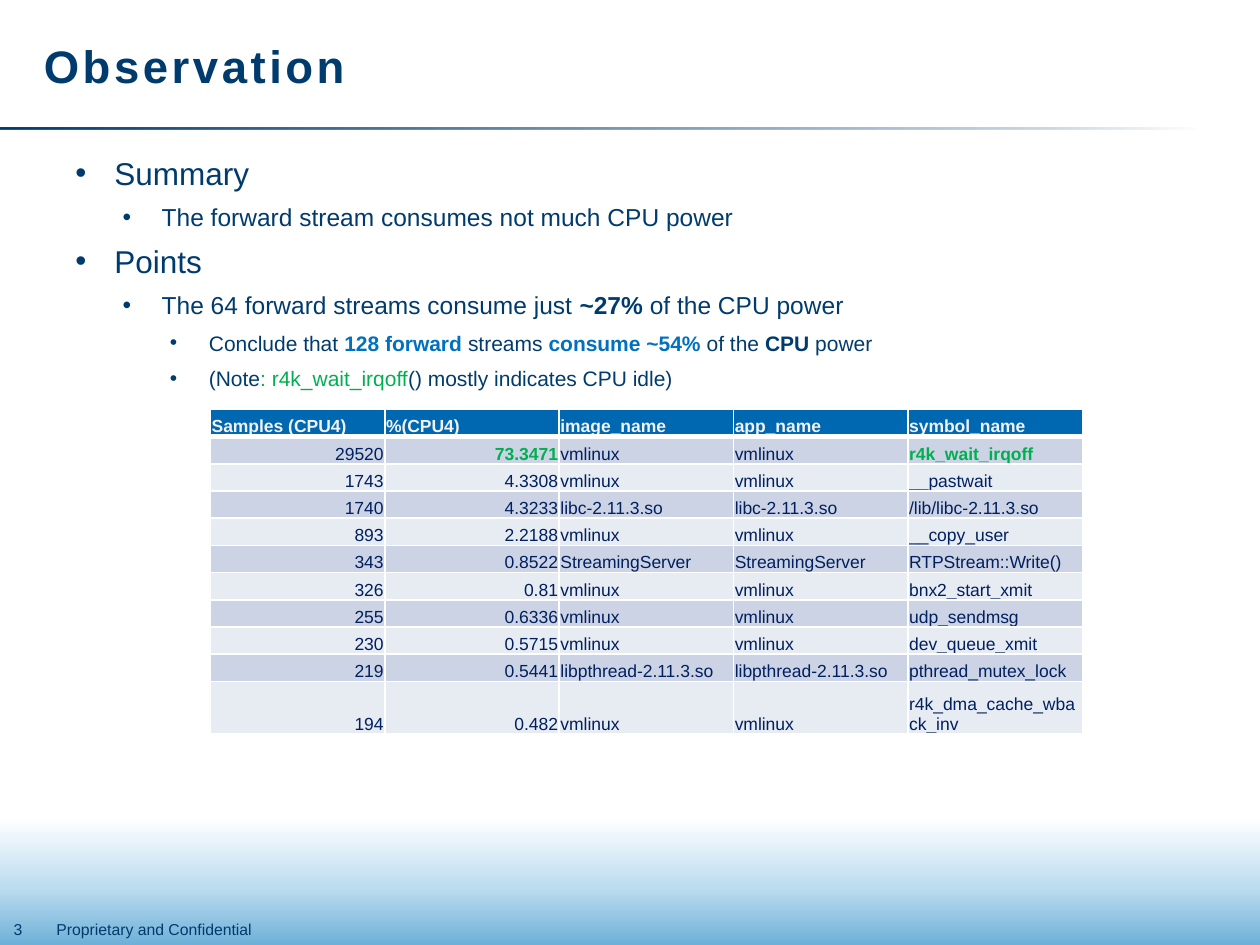
from lxml import etree
from pptx import Presentation
from pptx.dml.color import RGBColor
from pptx.enum.shapes import MSO_SHAPE as Shape
from pptx.enum.text import MSO_ANCHOR as Anchor, PP_ALIGN as Align
from pptx.oxml import parse_xml
from pptx.oxml.ns import nsdecls, qn
from pptx.util import Inches, Pt

THEME = {
    "font": "Arial",
    "color": {"navy": "003B6E", "blue": "0070C0", "green": "00B050", "white": "FFFFFF",
              "head_fill": "0067B1", "head_text": "F2F2F2", "cell_text": "002060",
              "odd": "CCD3E4", "even": "E7EBF2", "sky": "6EB0D8", "pale": "BCDCEF"},
    "size": {"title": 26, "levels": (18, 14, 12), "table": 10, "footer": 9},
}
COLOR, SIZE = THEME["color"], THEME["size"]

TITLE = "Observation"
FOOTER = "Proprietary and Confidential"
PAGE = "3"
BULLETS = [
    (0, [("Summary",)]),
    (1, [("The forward stream consumes not much CPU power",)]),
    (0, [("Points",)]),
    (1, [("The 64 forward streams consume just ",), ("~27% ", "navy", True),
         ("of the CPU power",)]),
    (2, [("Conclude that ",), ("128 forward ", "blue", True), ("streams ",),
         ("consume ~54% ", "blue", True), ("of the ",), ("CPU", "navy", True), (" power",)]),
    (2, [("(Note",), (": r4k_wait_irqoff", "green"), ("() mostly indicates CPU idle)",)]),
]
HEADERS = ["Samples (CPU4)", "%(CPU4)", "image_name", "app_name", "symbol_name"]
SAMPLES = [
    ("29520", "73.3471", "vmlinux", "vmlinux", "r4k_wait_irqoff"),
    ("1743", "4.3308", "vmlinux", "vmlinux", "__pastwait"),
    ("1740", "4.3233", "libc-2.11.3.so", "libc-2.11.3.so", "/lib/libc-2.11.3.so"),
    ("893", "2.2188", "vmlinux", "vmlinux", "__copy_user"),
    ("343", "0.8522", "StreamingServer", "StreamingServer", "RTPStream::Write()"),
    ("326", "0.81", "vmlinux", "vmlinux", "bnx2_start_xmit"),
    ("255", "0.6336", "vmlinux", "vmlinux", "udp_sendmsg"),
    ("230", "0.5715", "vmlinux", "vmlinux", "dev_queue_xmit"),
    ("219", "0.5441", "libpthread-2.11.3.so", "libpthread-2.11.3.so", "pthread_mutex_lock"),
    ("194", "0.482", "vmlinux", "vmlinux", "r4k_dma_cache_wback_inv"),
]
HIGHLIGHTS = {"73.3471", "r4k_wait_irqoff"}
NUMERIC_COLUMNS = 2


def add_run(paragraph, text, size, color="navy", bold=False):
    run = paragraph.add_run()
    run.text = text
    run.font.name = THEME["font"]
    run.font.size = Pt(size)
    run.font.bold = bold
    run.font.color.rgb = RGBColor.from_string(COLOR[color])
    return run


def add_text_box(slide, box, wrap=True):
    frame = slide.shapes.add_textbox(*map(Inches, box)).text_frame
    frame.word_wrap = wrap
    return frame


def add_gradient_bar(slide, box, stops, angle):
    shape = slide.shapes.add_shape(Shape.RECTANGLE, *map(Inches, box))
    shape.shadow.inherit = False
    shape.line.fill.background()
    shape.fill.gradient()
    gradient = shape._element.spPr.find(qn("a:gradFill"))
    stop_list = gradient.find(qn("a:gsLst"))
    for stop in list(stop_list):
        stop_list.remove(stop)
    for position, color, alpha in stops:
        stop_list.append(parse_xml(
            f'<a:gs {nsdecls("a")} pos="{position * 1000}"><a:srgbClr val="{COLOR[color]}">'
            f'<a:alpha val="{alpha * 1000}"/></a:srgbClr></a:gs>'))
    gradient.find(qn("a:lin")).set("ang", str(angle * 60000))


def add_bullets(slide):
    frame = add_text_box(slide, (0.5, 1.17, 9.5, 6.08))
    for index, (level, runs) in enumerate(BULLETS):
        paragraph = frame.paragraphs[0] if index == 0 else frame.add_paragraph()
        paragraph.level = level
        paragraph.space_before = Pt(6)
        properties = paragraph._p.get_or_add_pPr()
        properties.set("marL", str(Inches(0.31 + 0.375 * level)))
        properties.set("indent", str(Inches(-0.31)))
        etree.SubElement(properties, qn("a:buFont")).set("typeface", THEME["font"])
        etree.SubElement(properties, qn("a:buChar")).set("char", "•")
        for run in runs:
            add_run(paragraph, run[0], SIZE["levels"][level], *run[1:])


def set_borders(cell, widths):
    properties = cell._tc.get_or_add_tcPr()
    for index, (side, width) in enumerate(widths.items()):
        properties.insert(index, parse_xml(
            f'<a:ln{side} {nsdecls("a")} w="{Pt(width)}"><a:solidFill>'
            f'<a:srgbClr val="{COLOR["white"]}"/></a:solidFill></a:ln{side}>'))


def fill_cell(cell, text, row, column):
    header = row == 0
    highlighted = text in HIGHLIGHTS
    cell.margin_left = cell.margin_right = cell.margin_top = Inches(0.01)
    cell.margin_bottom = 0
    cell.vertical_anchor = Anchor.BOTTOM
    cell.fill.solid()
    fill = "head_fill" if header else "odd" if row % 2 else "even"
    cell.fill.fore_color.rgb = RGBColor.from_string(COLOR[fill])
    set_borders(cell, {"L": 1, "R": 1, "T": 3 if row == 1 else 1, "B": 3 if header else 1})
    paragraph = cell.text_frame.paragraphs[0]
    if column < NUMERIC_COLUMNS and not header:
        paragraph.alignment = Align.RIGHT
    color = "head_text" if header else "green" if highlighted else "cell_text"
    add_run(paragraph, text, SIZE["table"], color, header or highlighted)


def add_sample_table(slide):
    rows = [HEADERS, *SAMPLES]
    width, height, last_height = 6.92, 2.58, 0.42
    table = slide.shapes.add_table(len(rows), len(HEADERS), Inches(1.67), Inches(3.25),
                                   Inches(width), Inches(height)).table
    table.first_row = table.horz_banding = False
    for column in table.columns:
        column.width = Inches(width / len(HEADERS))
    for row in table.rows:
        row.height = Inches((height - last_height) / len(SAMPLES))
    table.rows[len(SAMPLES)].height = Inches(last_height)
    for row, values in enumerate(rows):
        for column, text in enumerate(values):
            fill_cell(table.cell(row, column), text, row, column)


def main():
    presentation = Presentation()
    presentation.slide_width, presentation.slide_height = Inches(10), Inches(7.5)
    slide = presentation.slides.add_slide(presentation.slide_layouts[6])

    add_gradient_bar(slide, (0, 5.75, 10, 1.75),
                     [(0, "sky", 100), (26, "pale", 100), (58, "white", 100)], 270)
    add_gradient_bar(slide, (0, 1.01, 9.5, 0.02),
                     [(0, "navy", 100), (88, "navy", 20), (100, "navy", 0)], 0)

    for text, box, wrap in [(FOOTER, (0.35, 7.25, 1.8, 0.25), False),
                            (PAGE, (0.01, 7.25, 0.49, 0.25), True)]:
        frame = add_text_box(slide, box, wrap)
        add_run(frame.paragraphs[0], text, SIZE["footer"])

    title = add_text_box(slide, (0.25, 0.05, 9, 0.95))
    title.vertical_anchor = Anchor.MIDDLE
    title.paragraphs[0].line_spacing = Pt(30)
    run = add_run(title.paragraphs[0], TITLE, SIZE["title"], bold=True)
    run._r.get_or_add_rPr().set("spc", "200")

    add_bullets(slide)
    add_sample_table(slide)
    presentation.save("out.pptx")


if __name__ == "__main__":
    main()
